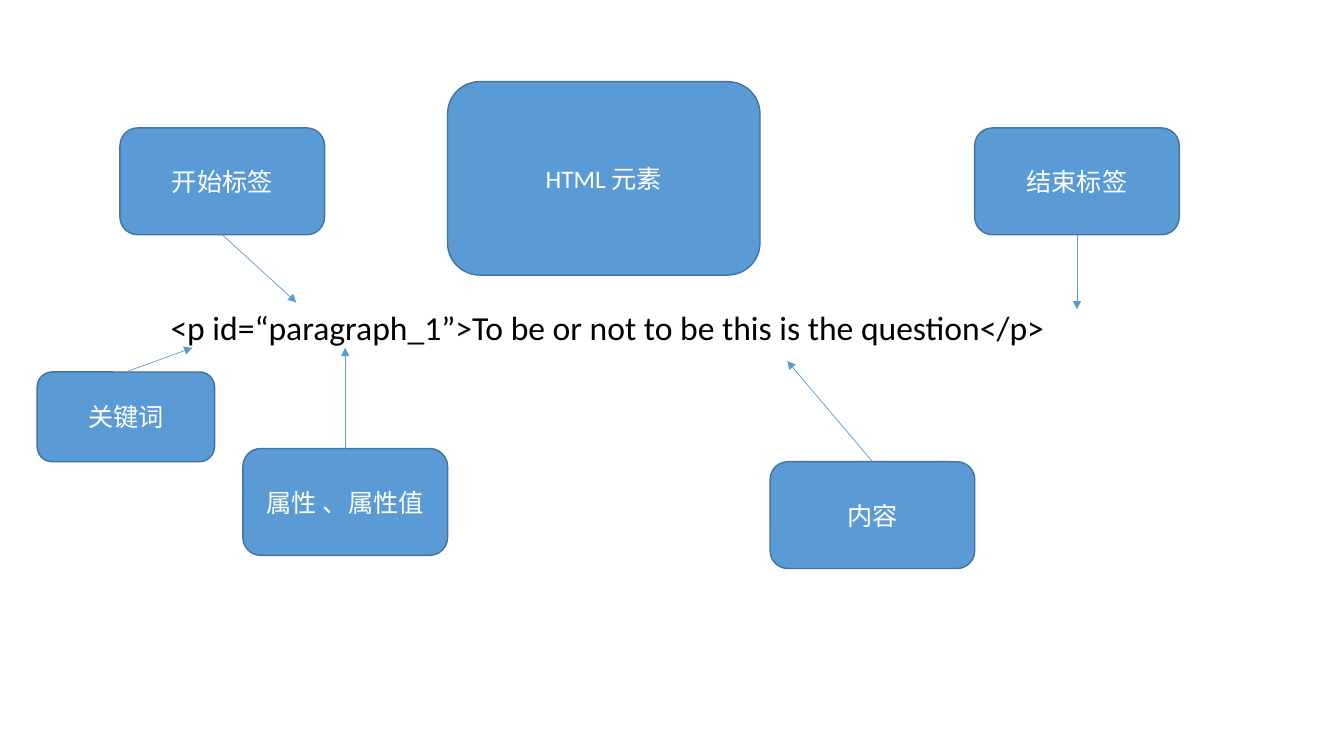
"""Build a slide that labels the parts of an HTML element."""
from dataclasses import dataclass

from lxml import etree
from pptx import Presentation
from pptx import util as u
from pptx.dml import color
from pptx.enum import shapes, text
from pptx.oxml import ns


@dataclass(frozen=True)
class Theme:
    """Colours, type and line sizes of the slide."""
    fill: str = "5B9BD5"
    edge: str = "43739E"
    light: str = "FFFFFF"
    dark: str = "000000"
    font: str = "Calibri"
    code_size: int = 24
    label_size: int = 18
    edge_width: float = 1
    arrow_width: float = 0.5


THEME = Theme()
TOP, BOTTOM = 0, 2
LABEL_SIZE = (146.2, 76.3)
CODE_BOX = (77.8, 196.6, 828, 104.4)
ELEMENT_BOX = (319.7, 58.3, 223.2, 138.2)
LABELS = [
    ("结束标签", (696.2, 91.4, *LABEL_SIZE), BOTTOM, (769.3, 221)),
    ("属性 、属性值", (173.5, 320.4, *LABEL_SIZE), TOP, (246.6, 248.4)),
    ("内容", (550.1, 329.8, *LABEL_SIZE), TOP, (562.3, 257.8)),
    ("开始标签", (85.7, 91.4, *LABEL_SIZE), BOTTOM, (211.7, 216)),
    ("关键词", (26.6, 265.7, 126.7, 64.1), TOP, (137.5, 248.4)),
]


def rgb(value):
    """Turn a hex string into a colour."""
    return color.RGBColor.from_string(value)


def write(shape, words, size, ink, align, spacing=1.0):
    """Put one formatted paragraph, vertically centred, into a shape."""
    frame = shape.text_frame
    frame.word_wrap = True
    frame.auto_size = text.MSO_AUTO_SIZE.NONE
    frame.vertical_anchor = text.MSO_ANCHOR.MIDDLE
    para = frame.paragraphs[0]
    para.alignment = align
    para.line_spacing = spacing
    span = para.add_run()
    span.text = words
    span.font.name = THEME.font
    span.font.size = u.Pt(size)
    span.font.color.rgb = rgb(ink)


def add_code(page, box):
    """Place the line of code in the title placeholder."""
    title = page.shapes.title
    title.left, title.top, title.width, title.height = map(u.Pt, box)
    write(title, "<p id=“paragraph_1”>To be or not to be this is the question</p>",
          size=THEME.code_size, ink=THEME.dark,
          align=text.PP_ALIGN.LEFT, spacing=0.9)
    title.text_frame.margin_left = u.Pt(44)
    title.text_frame.margin_bottom = u.Pt(30)


def add_label(page, words, box):
    """Draw a rounded label in the given box and return it."""
    label = page.shapes.add_shape(
        shapes.MSO_SHAPE.ROUNDED_RECTANGLE, *map(u.Pt, box))
    label.shadow.inherit = False
    label.fill.solid()
    label.fill.fore_color.rgb = rgb(THEME.fill)
    label.line.color.rgb = rgb(THEME.edge)
    label.line.width = u.Pt(THEME.edge_width)
    write(label, words, size=THEME.label_size, ink=THEME.light,
          align=text.PP_ALIGN.CENTER)
    return label


def add_arrow(page, label, side, target):
    """Draw an arrow from the middle of a label's side to a target point."""
    end = [u.Pt(value) for value in target]
    arrow = page.shapes.add_connector(
        shapes.MSO_CONNECTOR.STRAIGHT, label.left, label.top, *end)
    arrow.begin_connect(label, side)
    arrow.line.color.rgb = rgb(THEME.fill)
    arrow.line.width = u.Pt(THEME.arrow_width)
    line = arrow.line._get_or_add_ln()
    etree.SubElement(line, ns.qn("a:tailEnd"), type="triangle")
    etree.SubElement(arrow._element.spPr, ns.qn("a:effectLst"))


def add_element_slide(deck):
    """Build the slide from the code line, the labels and their arrows."""
    page = deck.slides.add_slide(deck.slide_layouts[5])
    add_code(page, CODE_BOX)
    add_label(page, "HTML 元素", ELEMENT_BOX)
    for words, box, side, target in LABELS:
        add_arrow(page, add_label(page, words, box), side, target)


def main():
    """Create and save the deck."""
    deck = Presentation()
    deck.slide_width, deck.slide_height = u.Pt(960), u.Pt(540)
    add_element_slide(deck)
    deck.save("out.pptx")


if __name__ == "__main__":
    main()
